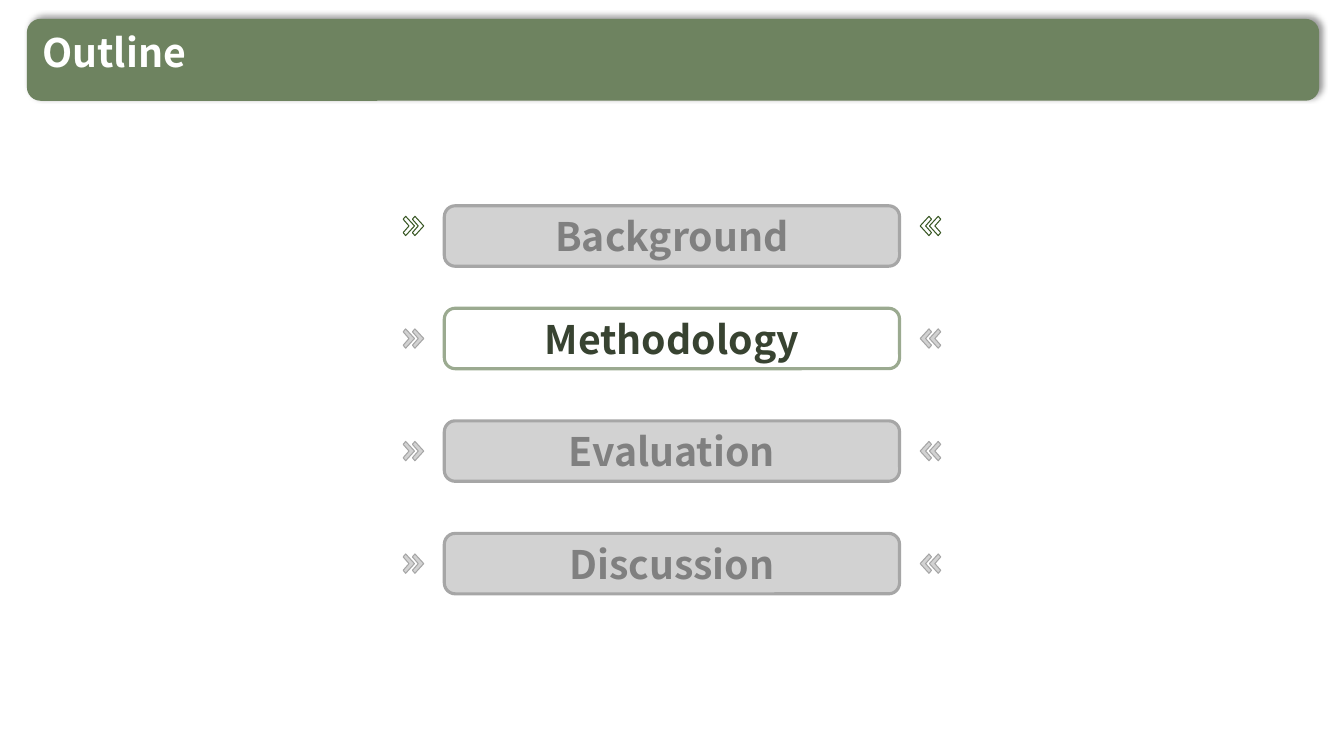
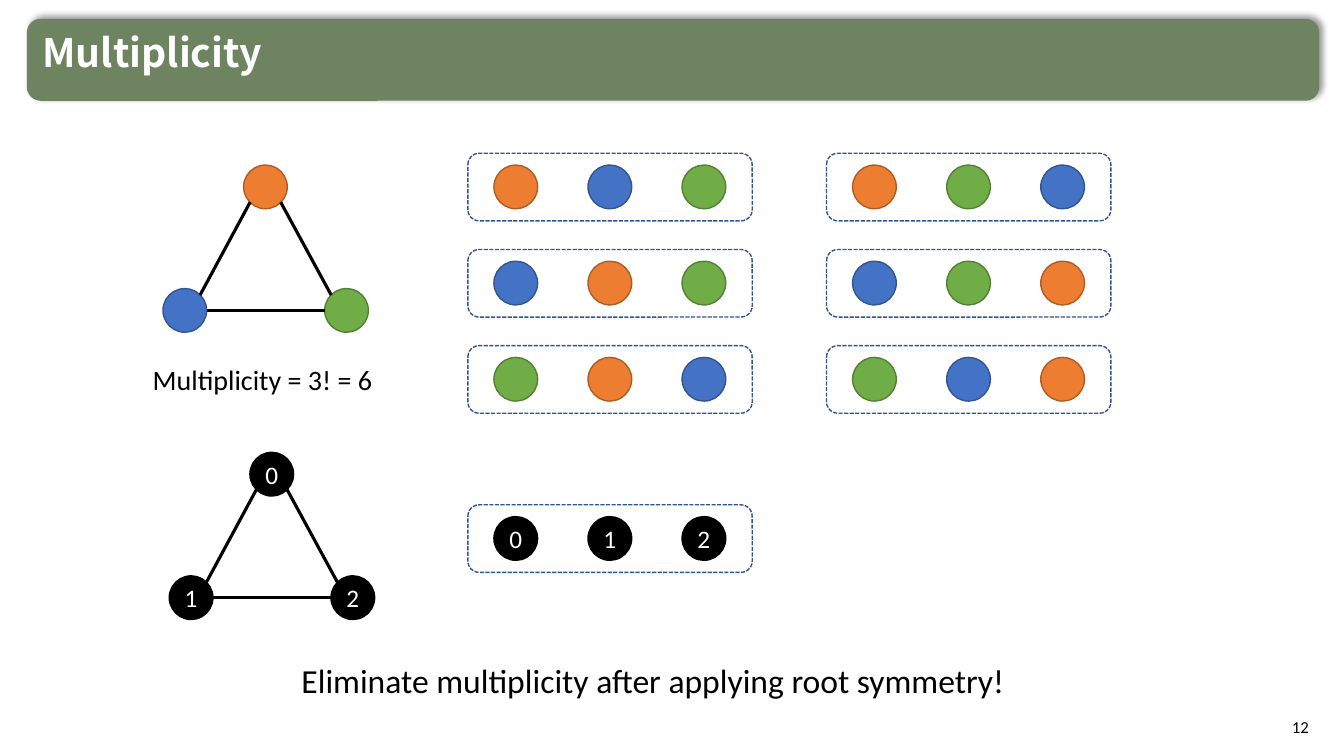
from lxml.etree import SubElement
from pptx import Presentation
from pptx.dml.color import RGBColor
from pptx.enum.dml import MSO_LINE
from pptx.enum.shapes import MSO_CONNECTOR, MSO_SHAPE
from pptx.enum.text import MSO_ANCHOR, PP_ALIGN
from pptx.oxml.ns import qn
from pptx.util import Inches, Pt

COLORS = {
    "band": "6E8360", "white": "FFFFFF", "black": "000000",
    "muted": "A6A6A6", "muted_text": "808080",
    "active_line": "9BAA90", "active_text": "384331", "arrow": "385723",
    "orange": "ED7D31", "orange_line": "AF5C24",
    "blue": "4472C4", "blue_line": "325491",
    "green": "70AD47", "green_line": "538035", "black_line": "000000",
}
HEADING = {"name": "Noto Sans CJK SC", "size": Pt(28), "bold": True}
BODY = {"name": "Calibri", "bold": False}
FRAME = {"word_wrap": True, "vertical_anchor": MSO_ANCHOR.MIDDLE}
NO_MARGINS = {f"margin_{side}": 0 for side in ("left", "top", "right", "bottom")}

COLUMNS, ROWS = 160, 90
CELL = Inches(1 / 12)
CIRCLE = 5.2
CHEVRON = [(0.3, 0), (0, 0.35), (0.7, 1.15), (0, 1.95), (0.3, 2.3), (1.35, 1.15)]


def apply(target, values):
    for name, value in values.items():
        setattr(target, name, value)


def grid(*lengths):
    return [round(length * CELL) for length in lengths]


def rgb(color):
    return RGBColor.from_string(COLORS[color])


class Deck:
    def __init__(self):
        self.presentation = Presentation()
        width, height = grid(COLUMNS, ROWS)
        apply(self.presentation, {"slide_width": width, "slide_height": height})
        self.layout = self.presentation.slide_layouts[5]
        self.slide = None

    def new_slide(self, title):
        first = self.slide is None
        self.slide = self.presentation.slides.add_slide(self.layout)
        if first:
            self.shared_band()
        placeholder = self.slide.shapes.title
        left, top, width, height = grid(3.85, 3.35, 132.85, 7.45)
        apply(placeholder, {"left": left, "top": top, "width": width, "height": height})
        self.label(placeholder, title, HEADING, "white", PP_ALIGN.LEFT,
                   {"vertical_anchor": MSO_ANCHOR.TOP})
        placeholder.text_frame.paragraphs[0].line_spacing = 0.9

    def shared_band(self):
        band = self.shape(MSO_SHAPE.ROUNDED_RECTANGLE, (3.2, 2.25, 153.85, 9.75), "band")
        effects = band.element.spPr.find(qn("a:effectLst"))
        shadow = SubElement(effects, qn("a:outerShdw"), blurRad=str(int(Pt(4))),
                            dist=str(int(Pt(3))), dir=str(315 * 60000),
                            algn="bl", rotWithShape="0")
        color = SubElement(shadow, qn("a:srgbClr"), val=COLORS["black"])
        SubElement(color, qn("a:alpha"), val="40000")
        band.element.nvSpPr.cNvPr.set("id", "20")
        self.layout.element.cSld.spTree.insert(2, band.element)

    def paint(self, shape, fill=None, line=None, width=1, alpha=None, dash=None):
        shape.shadow.inherit = False
        if fill:
            shape.fill.solid()
            shape.fill.fore_color.rgb = rgb(fill)
            if alpha:
                color = shape.element.spPr.find(qn("a:solidFill"))[0]
                SubElement(color, qn("a:alpha"), val=str(alpha * 1000))
        else:
            shape.fill.background()
        if line:
            shape.line.color.rgb = rgb(line)
            apply(shape.line, {"width": Pt(width), "dash_style": dash})
        else:
            shape.line.fill.background()
        return shape

    def shape(self, kind, box, fill=None, line=None, **style):
        shape = self.slide.shapes.add_shape(kind, *grid(*box))
        return self.paint(shape, fill, line, **style)

    def label(self, shape, text, font, color, align=PP_ALIGN.CENTER, frame=None):
        apply(shape.text_frame, {**FRAME, **(frame or {})})
        paragraph = shape.text_frame.paragraphs[0]
        paragraph.alignment = align
        run = paragraph.add_run()
        run.text = text
        apply(run.font, font)
        run.font.color.rgb = rgb(color)

    def text(self, box, text, size, align=PP_ALIGN.LEFT):
        shape = self.slide.shapes.add_textbox(*grid(*box))
        self.label(shape, text, {**BODY, "size": Pt(size)}, "black", align)

    def chevron(self, left, middle, mirrored, **style):
        points = [(left + x, middle - 1.15 + y) for x, y in CHEVRON]
        if mirrored:
            points = [(COLUMNS - x, y) for x, y in points]
        points = [grid(*point) for point in points]
        builder = self.slide.shapes.build_freeform(*points[0])
        builder.add_line_segments(points[1:], close=True)
        self.paint(builder.convert_to_shape(), width=0.75, **style)

    def topic(self, name, middle, color, **style):
        box = self.shape(MSO_SHAPE.ROUNDED_RECTANGLE, (52.9, middle - 3.6, 54.2, 7.2),
                         width=2.25, **style)
        box.adjustments[0] = 0.18
        self.label(box, name, HEADING, color)

    def circle(self, left, top, color, digit=None):
        circle = self.shape(MSO_SHAPE.OVAL, (left, top, CIRCLE, CIRCLE),
                            color, f"{color}_line")
        if digit:
            self.label(circle, digit, {**BODY, "size": Pt(18)}, "white", frame=NO_MARGINS)

    def edge(self, start, end):
        line = self.slide.shapes.add_connector(MSO_CONNECTOR.STRAIGHT, *grid(*start, *end))
        line.line.color.rgb = rgb("black")
        line.line.width = Pt(2.25)
        SubElement(line.element.spPr, qn("a:effectLst"))

    def triangle(self, left, top, nodes):
        corners = [(left + 9.6, top), (left, top + 14.7), (left + 19.25, top + 14.7)]
        for corner, node in zip(corners, nodes):
            self.circle(*corner, *node)
        (top_x, top_y), (left_x, base_y), (right_x, _) = corners
        near, far, half = CIRCLE * 0.15, CIRCLE * 0.85, CIRCLE / 2
        self.edge((top_x + near, top_y + far), (left_x + far, base_y + near))
        self.edge((right_x, base_y + half), (left_x + CIRCLE, base_y + half))
        self.edge((top_x + far, top_y + far), (right_x + near, base_y + near))

    def ordering(self, left, top, nodes):
        for index, node in enumerate(nodes):
            self.circle(left + 3.1 + 11.2 * index, top + 1.4, *node)
        self.shape(MSO_SHAPE.ROUNDED_RECTANGLE, (left, top, 33.85, 8.05),
                   line="blue_line", dash=MSO_LINE.SQUARE_DOT)


def outline_slide(deck):
    deck.new_slide("Outline")
    muted = {"fill": "muted", "line": "muted", "alpha": 50}
    active = {"line": "active_line"}
    topics = [("Background", 28.1), ("Methodology", 40.3),
              ("Evaluation", 53.7), ("Discussion", 67.1)]
    for index, (name, middle) in enumerate(topics):
        chevron_style = muted if index else {"line": "arrow"}
        for mirrored in (False, True):
            for left in (48, 49.1):
                deck.chevron(left, 26.9 + 13.4 * index, mirrored, **chevron_style)
        if name == "Methodology":
            deck.topic(name, middle, "active_text", **active)
        else:
            deck.topic(name, middle, "muted_text", **muted)


def multiplicity_slide(deck):
    deck.new_slide("Multiplicity")
    orange, blue, green = colored = [("orange",), ("blue",), ("green",)]
    numbered = [("black", digit) for digit in "012"]
    orderings = {
        55.7: [(orange, blue, green), (blue, orange, green), (green, orange, blue)],
        98.4: [(orange, green, blue), (blue, green, orange), (green, blue, orange)],
    }
    deck.triangle(19.4, 19.65, colored)
    for left, rows in orderings.items():
        for row, nodes in enumerate(rows):
            deck.ordering(left, 18.25 + 11.45 * row, nodes)
    deck.text((17, 42.5, 29.5, 5.25), "Multiplicity = 3! = 6", 20)
    deck.triangle(20.15, 53.85, numbered)
    deck.ordering(55.7, 60.1, numbered)
    deck.text((34.7, 78, 93, 6), "Eliminate multiplicity after applying root symmetry!", 24)
    deck.text((147.5, 84.1, 9.5, 4.8), "12", 12, PP_ALIGN.RIGHT)


def main():
    deck = Deck()
    outline_slide(deck)
    multiplicity_slide(deck)
    deck.presentation.save("out.pptx")


if __name__ == "__main__":
    main()
